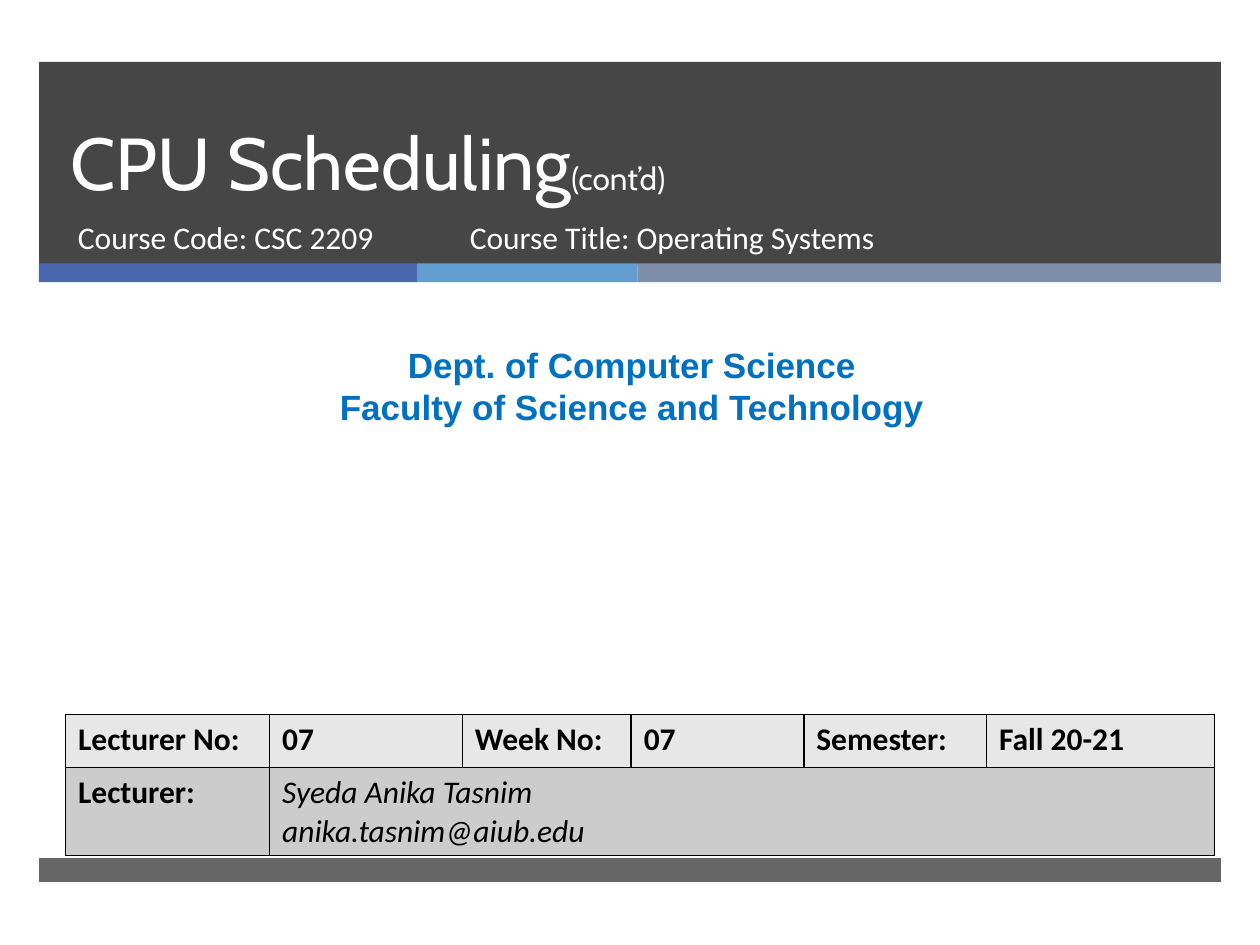
from pptx import Presentation
from pptx.dml.color import RGBColor
from pptx.enum.shapes import MSO_SHAPE
from pptx.enum.text import MSO_ANCHOR, MSO_AUTO_SIZE, PP_ALIGN
from pptx.oxml.ns import qn
from pptx.util import Pt
from lxml import etree

RECTANGLE = MSO_SHAPE.RECTANGLE
TOP, BOTTOM = MSO_ANCHOR.TOP, MSO_ANCHOR.BOTTOM
NO_FIT = MSO_AUTO_SIZE.NONE
LEFT, CENTER = PP_ALIGN.LEFT, PP_ALIGN.CENTER
PX = 9144
TITLE_ONLY = 5

COLORS = {
    "dark": "262626", "indigo": "4A66AC", "sky": "629DD1", "slate": "7F8FA9",
    "white": "FFFFFF", "blue": "0070C0", "black": "000000",
    "light row": "E7E7E7", "dark row": "CCCCCC",
}
TITLE = {"name": "Cabin", "size": Pt(42), "color": "white", "bold": False}
TITLE_NOTE = TITLE | {"size": Pt(18)}
COURSE = {"name": "Calibri", "size": Pt(18), "color": "white"}
DEPARTMENT = {"name": "Arial", "size": Pt(20), "color": "blue", "bold": True}
LABEL = {"name": "Calibri", "size": Pt(18), "color": "black", "bold": True}
LECTURER = LABEL | {"bold": False, "italic": True}

LECTURE_ROW = ["Lecturer No:", "07", "Week No:", "07", "Semester:", "Fall 20-21"]
LECTURER_LINES = ["Syeda Anika Tasnim", "anika.tasnim@aiub.edu"]
COLUMN_WIDTHS = [162, 153, 134, 137, 145, 181]
ROW_HEIGHTS = [42, 70]


def emu(*lengths):
    """Turn px lengths into EMU."""
    return [length * PX for length in lengths]


def format_font(font, style):
    """Apply a dict of format values to a font."""
    for attribute, value in style.items():
        if attribute == "color":
            font.color.rgb = RGBColor.from_string(COLORS[value])
        else:
            setattr(font, attribute, value)


def write_lines(frame, lines, style, align=LEFT):
    """Write each line as a paragraph of a text frame."""
    for index, line in enumerate(lines):
        paragraph = frame.add_paragraph() if index else frame.paragraphs[0]
        paragraph.alignment = align
        run = paragraph.add_run()
        run.text = line
        format_font(run.font, style)


def add_bar(slide, box, color, opacity=100):
    """Add a plain bar behind the title."""
    bar = slide.shapes.add_shape(RECTANGLE, *emu(*box))
    bar.shadow.inherit = False
    bar.fill.solid()
    bar.fill.fore_color.rgb = RGBColor.from_string(COLORS[color])
    bar.line.fill.background()
    if opacity < 100:
        tint = bar.fill._xPr.find(qn("a:solidFill"))[0]
        etree.SubElement(tint, qn("a:alpha"), val=str(opacity * 1000))
    slide.shapes.title._element.addprevious(bar._element)


def add_text(slide, box, lines, style, align=LEFT):
    """Add a wrapped text box."""
    frame = slide.shapes.add_textbox(*emu(*box)).text_frame
    frame.word_wrap = True
    write_lines(frame, lines, style, align)


def add_header(slide, left, top, width):
    """Add the dark band, its colour strip, the title and the course details."""
    add_bar(slide, (left, top, width, 161), "dark", 85)
    strip_left = left
    for color, part in (("indigo", 300), ("sky", 175), ("slate", width - 475)):
        add_bar(slide, (strip_left, top + 160, part, 15), color)
        strip_left += part

    title = slide.shapes.title
    title.left, title.top, title.width, title.height = emu(left + 15, top, 854, 119)
    frame = title.text_frame
    frame.vertical_anchor, frame.auto_size, frame.word_wrap = BOTTOM, NO_FIT, True
    heading = frame.paragraphs[0]
    heading.alignment, heading.line_spacing = LEFT, Pt(46)
    for words, style in (("CPU Scheduling", TITLE), ("(cont’d)", TITLE_NOTE)):
        run = heading.add_run()
        run.text = words
        format_font(run.font, style)

    add_text(slide, (left + 21, top + 119, 305, 53), ["Course Code: CSC 2209"], COURSE)
    add_text(slide, (left + 332, top + 119, 455, 53),
             ["Course Title: Operating Systems"], COURSE)


def add_department(slide, left, top, width):
    """Add the centred department and faculty names."""
    add_text(slide, (left, top, width, 77),
             ["Dept. of Computer Science", "Faculty of Science and Technology"],
             DEPARTMENT, CENTER)


def format_cell(cell, color):
    """Fill a cell and give it thin black borders."""
    cell.vertical_anchor = TOP
    properties = cell._tc.get_or_add_tcPr()
    for side in ("lnL", "lnR", "lnT", "lnB"):
        border = etree.SubElement(properties, qn(f"a:{side}"), w=str(Pt(1)))
        ink = etree.SubElement(border, qn("a:solidFill"))
        etree.SubElement(ink, qn("a:srgbClr"), val=COLORS["black"])
    cell.fill.solid()
    cell.fill.fore_color.rgb = RGBColor.from_string(COLORS[color])


def add_lecture_table(slide, left, top):
    """Add the table of lecture details."""
    box = emu(left, top, sum(COLUMN_WIDTHS), sum(ROW_HEIGHTS))
    table = slide.shapes.add_table(len(ROW_HEIGHTS), len(COLUMN_WIDTHS), *box).table
    for column, width in zip(table.columns, COLUMN_WIDTHS):
        column.width = width * PX
    for row, height, color in zip(table.rows, ROW_HEIGHTS, ("light row", "dark row")):
        row.height = height * PX
        for cell in row.cells:
            format_cell(cell, color)
    for column, words in enumerate(LECTURE_ROW):
        write_lines(table.cell(0, column).text_frame, [words], LABEL)
    table.cell(1, 1).merge(table.cell(1, len(COLUMN_WIDTHS) - 1))
    write_lines(table.cell(1, 0).text_frame, ["Lecturer:"], LABEL)
    write_lines(table.cell(1, 1).text_frame, LECTURER_LINES, LECTURER)


def main():
    """Build the title slide and save it."""
    presentation = Presentation()
    presentation.slide_width, presentation.slide_height = emu(1000, 750)
    slide = presentation.slides.add_slide(presentation.slide_layouts[TITLE_ONLY])
    add_header(slide, 31, 49, 938)
    add_department(slide, 8, 268, 987)
    add_lecture_table(slide, 52, 567)
    add_bar(slide, (31, 681, 938, 19), "dark", 70)
    presentation.save("out.pptx")


if __name__ == "__main__":
    main()
